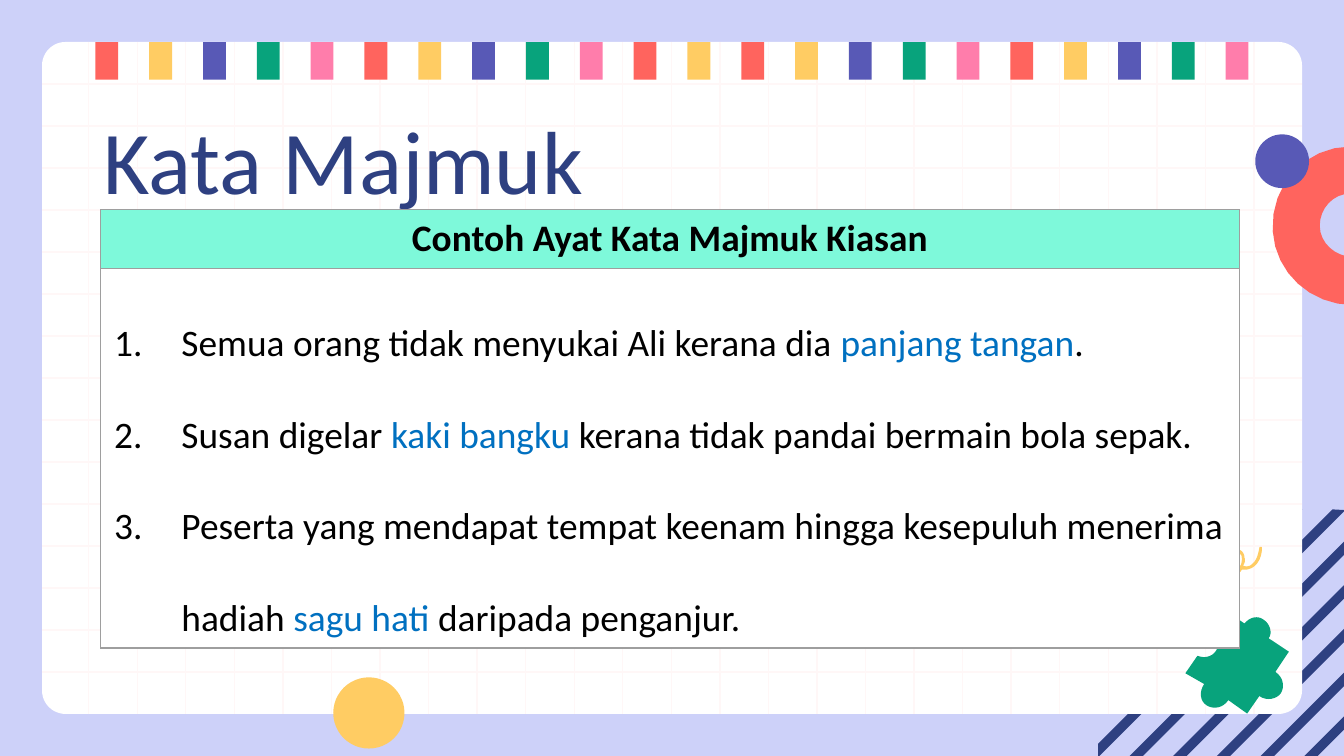
from dataclasses import dataclass

import pptx
import pptx.chart
import pptx.dml.color
import pptx.enum.shapes
import pptx.enum.text
import pptx.oxml
import pptx.oxml.ns
import pptx.util
from lxml import etree

# The slide is a grid of square cells, COLS across and ROWS down
COLS, ROWS = 10, 5.625
CELL = pptx.util.Inches(1)
EDGE = ROWS / 18
FONT = "Calibri"
NAVY, BLUE, BLACK, WHITE = "2E4081", "0070C0", "000000", "FFFFFF"
RED, GOLD, PLUM, GREEN, PINK = "FF645E", "FFCC63", "5859B6", "08A37C", "FF7DAB"
KIND = pptx.enum.shapes.MSO_SHAPE


@dataclass
class Box:
    left: float
    top: float
    width: float
    height: float

    def place(self) -> list[int]:
        return [emu(v) for v in (self.left, self.top, self.width, self.height)]


@dataclass
class Part:
    text: str
    color: str = BLACK


def emu(cells: float) -> int:
    return round(cells * CELL)


def rgb(color: str) -> pptx.dml.color.RGBColor:
    return pptx.dml.color.RGBColor.from_string(color)


def paint(shape, color: str) -> None:
    shape.fill.solid()
    shape.fill.fore_color.rgb = rgb(color)
    shape.line.fill.background()
    shape.shadow.inherit = False


def draw(kind, box: Box, color: str):
    shape = slide.shapes.add_shape(kind, *box.place())
    paint(shape, color)
    return shape


def rule(x1: float, y1: float, x2: float, y2: float) -> None:
    line = slide.shapes.add_connector(
        pptx.enum.shapes.MSO_CONNECTOR.STRAIGHT, emu(x1), emu(y1), emu(x2), emu(y2))
    line.line.color.rgb = rgb("FFF7F7")
    line.line.width = pptx.util.Pt(0.75)
    etree.SubElement(line._element.spPr, pptx.oxml.ns.qn("a:effectLst"))


def fill_loops(loops: list[list[tuple]], color: str) -> None:
    first, *rest = [[(emu(x), emu(y)) for x, y in loop] for loop in loops]
    pen = slide.shapes.build_freeform(*first[0])
    pen.add_line_segments(first[1:], close=True)
    for loop in rest:
        pen.move_to(*loop[0])
        pen.add_line_segments(loop[1:], close=True)
    paint(pen.convert_to_shape(), color)


def trace(path: str, steps: int = 8) -> list[tuple]:
    """Turn rows of one point (straight) or three points (curve) into a loop."""
    loop = []
    for row in path.split(";"):
        nums = [float(n) for n in row.split()]
        if len(nums) == 2:
            loop.append(tuple(nums))
            continue
        pts = [loop[-1], *zip(nums[::2], nums[1::2])]
        for i in range(1, steps + 1):
            t = i / steps
            mix = ((1 - t) ** 3, 3 * t * (1 - t) ** 2, 3 * t * t * (1 - t), t ** 3)
            loop.append(tuple(sum(m * p[k] for m, p in zip(mix, pts)) for k in (0, 1)))
    return loop


def write(para, part: Part, size: float, bold: bool = False) -> None:
    run = para.add_run()
    run.text = part.text
    run.font.name = FONT
    run.font.size = pptx.util.Pt(size)
    run.font.bold = bold
    run.font.color.rgb = rgb(part.color)


def number(para) -> None:
    props = para._p.get_or_add_pPr()
    props.set("marL", str(emu(0.5)))
    props.set("indent", str(-emu(0.5)))
    tint = etree.SubElement(props, pptx.oxml.ns.qn("a:buClr"))
    etree.SubElement(tint, pptx.oxml.ns.qn("a:srgbClr"), val=BLACK)
    etree.SubElement(props, pptx.oxml.ns.qn("a:buAutoNum"), type="arabicPeriod")
    para.line_spacing = 2.0


def frame(cell, color: str) -> None:
    props = cell._tc.get_or_add_tcPr()
    for side in ("lnL", "lnR", "lnT", "lnB"):
        line = etree.SubElement(props, pptx.oxml.ns.qn("a:" + side), w="9525")
        fill = etree.SubElement(line, pptx.oxml.ns.qn("a:solidFill"))
        etree.SubElement(fill, pptx.oxml.ns.qn("a:srgbClr"), val="9E9E9E")
    cell.fill.solid()
    cell.fill.fore_color.rgb = rgb(color)


deck = pptx.Presentation()
deck.slide_width, deck.slide_height = emu(COLS), emu(ROWS)
slide = deck.slides.add_slide(deck.slide_layouts[5])
slide.background.fill.solid()
slide.background.fill.fore_color.rgb = rgb("CDD1F9")

# Diagonal stripes, clipped to the lower right corner
LEFT, TOP = 8.17, 3.79
for i in range(7):
    low = 15.33 - 0.325 * i
    sums = sorted({low, min(max(LEFT + ROWS, low), low + 0.1), low + 0.1})
    upper = [(min(COLS, s - TOP), max(TOP, s - COLS)) for s in sums]
    lower = [(max(LEFT, s - ROWS), min(ROWS, s - LEFT)) for s in sums]
    fill_loops([upper + lower[::-1]], NAVY)

# Card with squared paper
card = draw(KIND.ROUNDED_RECTANGLE,
            Box(EDGE, EDGE, COLS - 2 * EDGE, ROWS - 2 * EDGE), WHITE)
card.adjustments[0] = 0.035
for i in range(2, 17):
    rule(EDGE, i * EDGE, COLS - EDGE, i * EDGE)
for i in range(25):
    x = 0.66 + i * 8.67 / 24
    rule(x, EDGE, x, ROWS - EDGE)

# Bunting along the top: the five colours start again after 12 flags
for i in range(22):
    hue = (RED, GOLD, PLUM, GREEN, PINK)[i % 12 % 5]
    draw(KIND.RECTANGLE, Box(0.71 + i * 8.41 / 21, EDGE, 0.17, 0.28), hue)

# Half ring and discs
RING = ("10.07 2.27;9.75 2.27 9.49 2.03 9.47 1.72;9.45 1.37 9.72 1.09 10.05 1.09;"
        "10.05 1.44;9.92 1.44 9.82 1.55 9.82 1.68;9.82 1.81 9.94 1.91 10.06 1.91")
fill_loops([trace(RING)], RED)
draw(KIND.OVAL, Box(2.48, 5.04, 0.53, 0.53), GOLD)
draw(KIND.OVAL, Box(9.34, 1, 0.4, 0.4), PLUM)

# Puzzle piece
PUZZLE = ("9.4 4.61;9.36 4.58 9.3 4.59 9.26 4.64;9.13 4.55;9.03 4.7;"
          "9.07 4.73 9.08 4.79 9.05 4.84;9.02 4.89 8.96 4.9 8.91 4.88;8.82 5.01;"
          "8.96 5.09;8.92 5.15 8.93 5.22 8.98 5.25;9.03 5.28 9.1 5.27 9.14 5.21;"
          "9.28 5.31;9.37 5.18;9.43 5.22 9.5 5.2 9.53 5.16;"
          "9.56 5.11 9.55 5.04 9.49 5;9.59 4.85;9.44 4.75;9.47 4.71 9.45 4.64 9.4 4.61")
fill_loops([trace(PUZZLE)], GREEN)

# Curl with its loop hole
HOLE = ("9.21 4.12;9.24 4.12 9.24 4.14 9.24 4.16;9.24 4.17 9.24 4.19 9.23 4.21;"
        "9.22 4.2 9.2 4.19 9.19 4.17;9.19 4.16 9.19 4.13 9.21 4.12")
CURL = ("9.38 4.07;9.37 4.07 9.37 4.07 9.37 4.08;9.36 4.13 9.35 4.18 9.3 4.21;"
        "9.29 4.21 9.28 4.22 9.25 4.21;9.26 4.19 9.27 4.17 9.26 4.15;"
        "9.26 4.12 9.24 4.09 9.21 4.09;9.18 4.1 9.17 4.12 9.17 4.14;"
        "9.16 4.18 9.19 4.21 9.22 4.23;9.21 4.24 9.2 4.26 9.18 4.26;"
        "9.17 4.27 9.16 4.27 9.14 4.27;9.11 4.27 9.08 4.26 9.07 4.23;"
        "9.07 4.22 9.05 4.22 9.05 4.23;9.06 4.27 9.1 4.3 9.14 4.3;"
        "9.16 4.3 9.17 4.3 9.18 4.29;9.2 4.28 9.23 4.26 9.24 4.24;"
        "9.35 4.25 9.39 4.15 9.39 4.08;9.39 4.07 9.39 4.07 9.38 4.07")
fill_loops([trace(CURL), trace(HOLE)], GOLD)

# Title, lifted above the card
title = slide.shapes.title
title.left, title.top, title.width, title.height = Box(0.67, 0.65, 8.43, 0.63).place()
body = title.text_frame
body.auto_size = pptx.enum.text.MSO_AUTO_SIZE.NONE
body.vertical_anchor = pptx.enum.text.MSO_ANCHOR.TOP
body.margin_left = body.margin_right = body.margin_bottom = emu(0.1)
body.margin_top = emu(0.13)
body.paragraphs[0].alignment = pptx.enum.text.PP_ALIGN.LEFT
write(body.paragraphs[0], Part("Kata Majmuk", NAVY), 48)
slide.shapes._spTree.append(title._element)

# Table of example sentences
LINES = [
    [Part("Semua orang tidak menyukai Ali kerana dia "), Part("panjang tangan", BLUE),
     Part(".")],
    [Part("Susan digelar "), Part("kaki bangku ", BLUE),
     Part("kerana tidak pandai bermain bola sepak.")],
    [Part("Peserta yang mendapat tempat keenam hingga kesepuluh menerima hadiah "),
     Part("sagu hati ", BLUE), Part("daripada penganjur.")],
]
table = slide.shapes.add_table(2, 1, *Box(0.75, 1.56, 8.47, 3.15).place()).table
table.rows[0].height, table.rows[1].height = emu(0.44), emu(2.71)
head, cell = table.cell(0, 0), table.cell(1, 0)
frame(head, "7EF9DA")
frame(cell, WHITE)
para = head.text_frame.paragraphs[0]
para.alignment = pptx.enum.text.PP_ALIGN.CENTER
write(para, Part("Contoh Ayat Kata Majmuk Kiasan"), 20, bold=True)
for i, parts in enumerate(LINES):
    para = cell.text_frame.add_paragraph() if i else cell.text_frame.paragraphs[0]
    number(para)
    for part in parts:
        write(para, part, 20)

deck.save("out.pptx")
